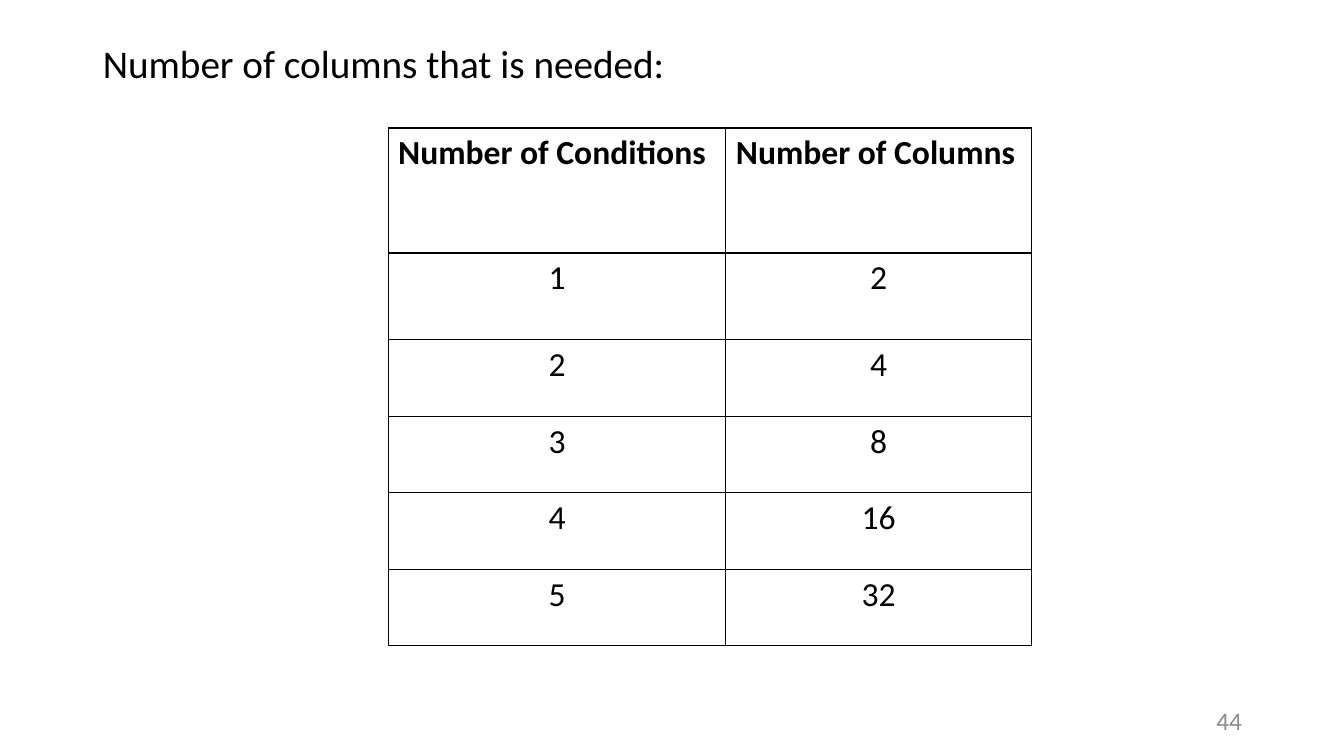
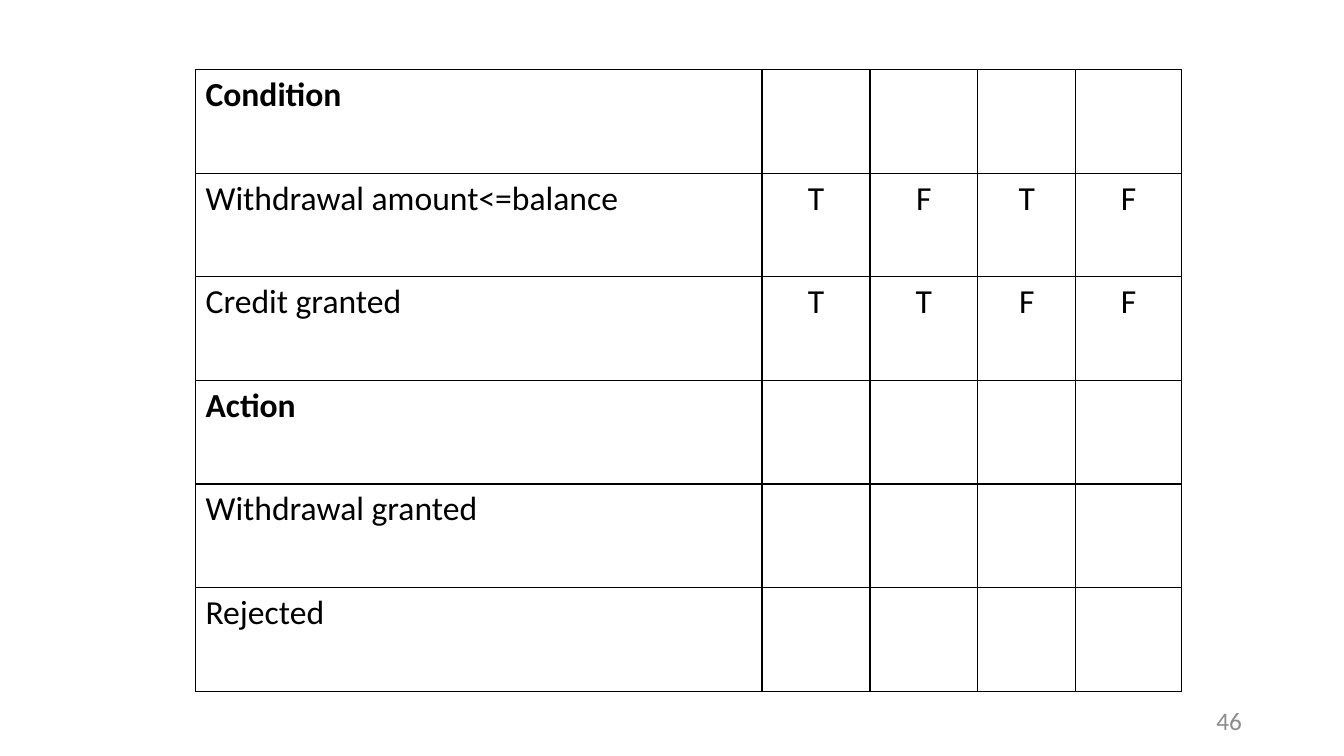
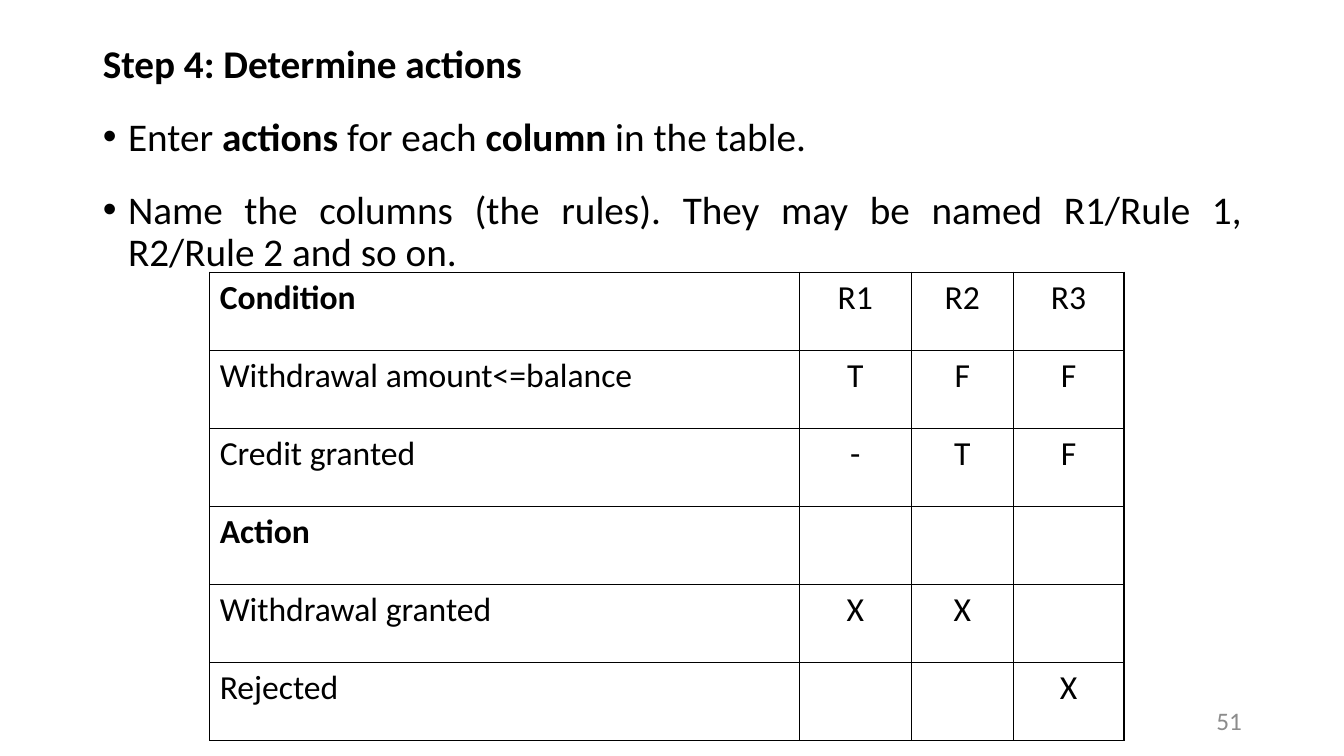
from lxml.etree import SubElement
from pptx import Presentation
from pptx.dml.color import RGBColor
from pptx.enum.text import MSO_ANCHOR, MSO_AUTO_SIZE, PP_ALIGN
from pptx.oxml.ns import qn
from pptx.util import Inches, Pt

WIDTH, HEIGHT = Inches(13.33), Inches(7.5)
FONT = "Calibri"
INK, PAPER, MUTED = "000000", "FFFFFF", "8C8C8C"
BODY_LAYOUT, BLANK_LAYOUT = 1, 6
HEADINGS = ("Condition", "Action")
LABELS = (
    "Condition",
    "Withdrawal amount<=balance",
    "Credit granted",
    "Action",
    "Withdrawal granted",
    "Rejected",
)


def across(percent):
    return round(WIDTH * percent / 100)


def down(percent):
    return round(HEIGHT * percent / 100)


def place(left, top, width, height):
    return across(left), down(top), across(width), down(height)


def colour(hex_string):
    return RGBColor.from_string(hex_string)


def style(run, size, ink=INK, bold=False):
    run.font.name = FONT
    run.font.size = Pt(size)
    run.font.bold = bold
    run.font.color.rgb = colour(ink)


def add_page_number(slide, number):
    footer = slide.shapes.add_textbox(*place(70.65, 92.67, 22.5, 5.33))
    frame = footer.text_frame
    frame.word_wrap = True
    frame.vertical_anchor = MSO_ANCHOR.MIDDLE
    frame.text = str(number)
    frame.paragraphs[0].alignment = PP_ALIGN.RIGHT
    style(frame.paragraphs[0].runs[0], 18, MUTED)


def set_bullet(paragraph, bulleted):
    properties = paragraph._p.get_or_add_pPr()
    indent = Inches(0.25) if bulleted else 0
    properties.set("marL", str(indent))
    properties.set("indent", str(-indent))
    if bulleted:
        SubElement(properties, qn("a:buChar")).set("char", "•")
    else:
        SubElement(properties, qn("a:buNone"))


def fill_body(slide, height, heading, bold_heading=False, bullets=()):
    title = slide.shapes.title
    title._element.getparent().remove(title._element)
    body = slide.placeholders[1]
    body.left, body.top, body.width, body.height = place(6.9, 5.2, 86.25, height)
    frame = body.text_frame
    frame.auto_size = MSO_AUTO_SIZE.NONE
    lines = [[(heading, bold_heading)], *bullets]
    for position, line in enumerate(lines):
        paragraph = frame.add_paragraph() if position else frame.paragraphs[0]
        set_bullet(paragraph, position > 0)
        paragraph.alignment = PP_ALIGN.JUSTIFY
        paragraph.line_spacing = 0.9
        paragraph.space_before = Pt(10 if position else 0)
        paragraph.space_after = Pt(12)
        for words, bold in line:
            run = paragraph.add_run()
            run.text = words
            style(run, 28, bold=bold)


def add_borders(cell):
    properties = cell._tc.get_or_add_tcPr()
    for position, side in enumerate(("lnL", "lnR", "lnT", "lnB")):
        line = properties.makeelement(qn(f"a:{side}"), {"w": str(Pt(1))})
        solid = SubElement(line, qn("a:solidFill"))
        SubElement(solid, qn("a:srgbClr")).set("val", INK)
        properties.insert(position, line)


def fill_cell(cell, words, bold, centred):
    cell.fill.solid()
    cell.fill.fore_color.rgb = colour(PAPER)
    add_borders(cell)
    if words:
        cell.text = words
        paragraph = cell.text_frame.paragraphs[0]
        paragraph.alignment = PP_ALIGN.CENTER if centred else PP_ALIGN.LEFT
        style(paragraph.runs[0], 24, bold=bold)


def add_grid(slide, left, top, widths, heights, rows, headings, centred):
    area = place(left, top, sum(widths), sum(heights))
    table = slide.shapes.add_table(len(rows), len(widths), *area).table
    table.first_row = table.horz_banding = False
    for column, width in zip(table.columns, widths):
        column.width = across(width)
    for row, height in zip(table.rows, heights):
        row.height = down(height)
    for r, row in enumerate(rows):
        for c, words in enumerate(row):
            fill_cell(table.cell(r, c), words, words in headings, centred(r, c))


def add_decision_table(slide, left, top, widths, row_height, rules):
    rows = [(label, *marks) for label, marks in zip(LABELS, rules)]
    heights = [row_height] * len(rows)
    add_grid(slide, left, top, widths, heights, rows, HEADINGS, lambda r, c: c > 0)


def add_slide(deck, layout, number):
    slide = deck.slides.add_slide(deck.slide_layouts[layout])
    add_page_number(slide, number)
    return slide


def main():
    deck = Presentation()
    deck.slide_width, deck.slide_height = WIDTH, HEIGHT

    column_count = add_slide(deck, BODY_LAYOUT, 44)
    fill_body(column_count, 92.8, "Number of columns that is needed:")
    headings = ("Number of Conditions", "Number of Columns")
    counts = [(str(n), str(2 ** n)) for n in range(1, 6)]
    add_grid(column_count, 28.88, 16.93, (25.13, 22.75),
             (16.53, 11.47, *[10.13] * 4), [headings, *counts], headings,
             lambda r, c: r > 0)

    combinations = add_slide(deck, BLANK_LAYOUT, 46)
    blank = [""] * 4
    add_decision_table(combinations, 14.55, 9.2, (42.15, 8.03, 8.03, 7.28, 7.88),
                       13.71, (blank, "TFTF", "TTFF", blank, blank, blank))

    actions = add_slide(deck, BODY_LAYOUT, 51)
    fill_body(actions, 94.8, "Step 4: Determine actions", True, (
        [("Enter ", False), ("actions", True), (" for each ", False),
         ("column", True), (" in the table.", False)],
        [("Name the columns (the rules). They may be named R1/Rule 1, "
          "R2/Rule 2 and so on.", False)],
    ))
    add_decision_table(actions, 15.6, 36, (43.88, 8.33, 7.58, 8.25), 10.33, (
        ("R1", "R2", "R3"), "TFF", "-TF", ("", "", ""),
        ("X", "X", ""), ("", "", "X")))

    deck.save("out.pptx")


if __name__ == "__main__":
    main()
